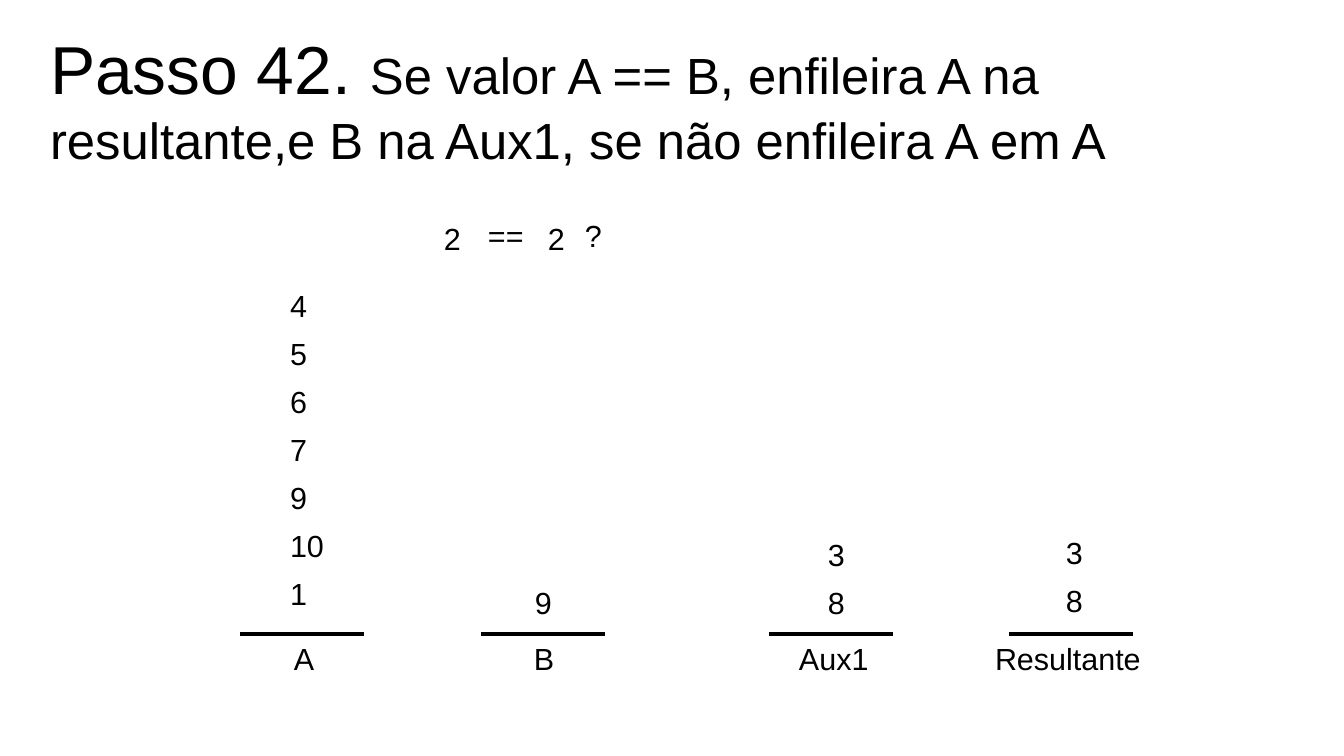
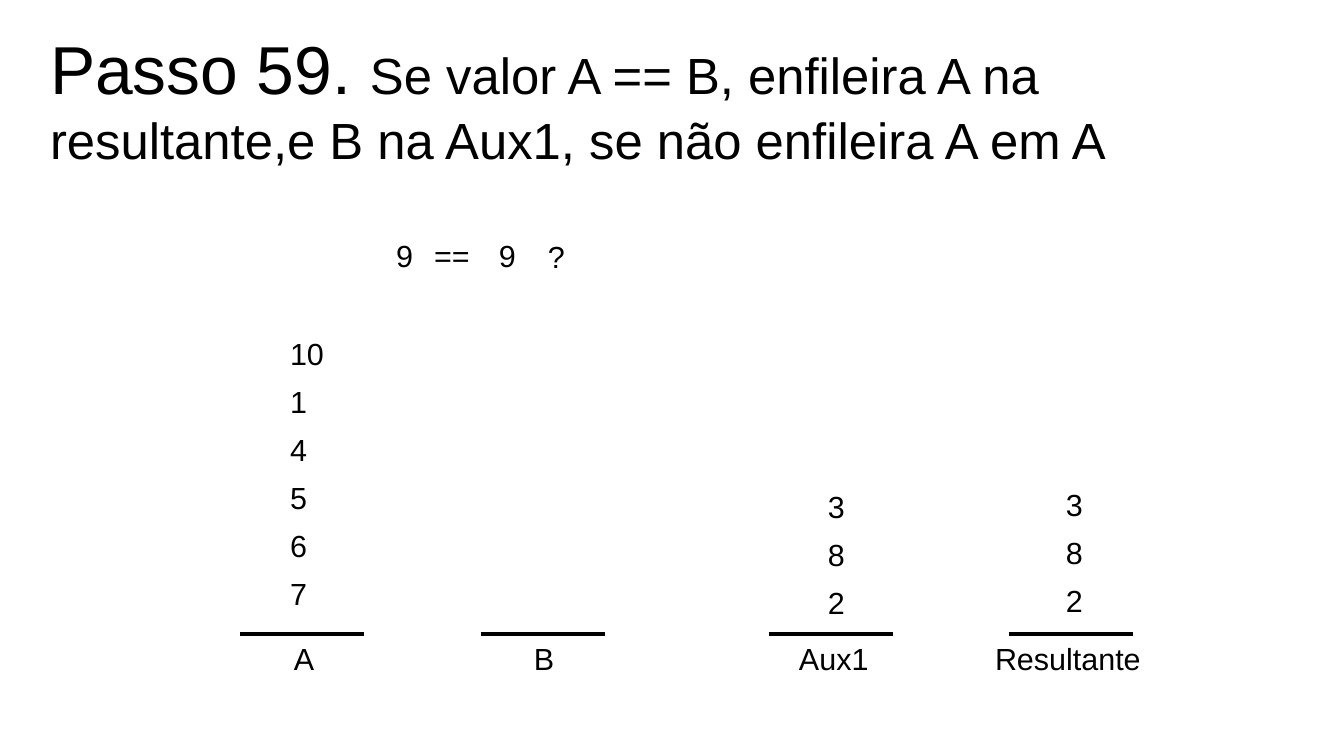
from pptx import Presentation, util as u
from pptx.dml.color import RGBColor
from pptx.enum import shapes, text
from pptx.oxml.ns import qn
from lxml import etree

BLACK = RGBColor(0, 0, 0)
FONT = "Arial"
TITLE_SIZE, RULE_SIZE, BODY_SIZE = 40, 30, 18
SCALE = 914400 / 122
SLIDE_SIZE = (1344, 756)
TITLE_BOX = (38, 21, 1268, 201)
RULE = ("Se valor A == B, enfileira A na resultante,"
        "e B na Aux1, se não enfileira A em A")
BASE_Y, BASE_WIDTH, ROW_STEP, ROW_HEIGHT = 634, 124, 48, 46

# Queue: base left, label left and width, value left and width, last value top
QUEUES = {
    "A": (240, 282, 131, 278, 67, 569),
    "B": (481, 522, 44, 523, 41, 578),
    "Aux1": (769, 787, 94, 816, 41, 578),
    "Resultante": (1009, 983, 170, 1054, 41, 576),
}

# Each comparison token: text, left, top, width
STEPS = [
    {"title": "Passo 42. ",
     "comparison": [("2", 432, 214, 67), ("==", 476, 211, 60),
                    ("2", 536, 214, 41), ("?", 573, 211, 41)],
     "values": {"A": [4, 5, 6, 7, 9, 10, 1], "B": [9],
                "Aux1": [3, 8], "Resultante": [3, 8]}},
    {"title": "Passo 59. ",
     "comparison": [("9", 384, 231, 67), ("==", 422, 231, 60),
                    ("9", 487, 231, 41), ("?", 536, 232, 41)],
     "values": {"A": [10, 1, 4, 5, 6, 7], "B": [],
                "Aux1": [3, 8, 2], "Resultante": [3, 8, 2]}},
]


def px(length):
    """Turn pixels into EMU."""
    return u.Emu(round(length * SCALE))


def add_text(slide, box, runs, wrap=False):
    """Place a text box holding one paragraph of (text, size) runs."""
    frame = slide.shapes.add_textbox(*map(px, box)).text_frame
    frame_format = {"word_wrap": wrap,
                    "auto_size": text.MSO_AUTO_SIZE.SHAPE_TO_FIT_TEXT}
    for name, value in frame_format.items():
        setattr(frame, name, value)
    for words, size in runs:
        run = frame.paragraphs[0].add_run()
        run.text = words
        for name, value in {"name": FONT, "size": u.Pt(size)}.items():
            setattr(run.font, name, value)
        run.font.color.rgb = BLACK


def add_base(slide, left, top, width):
    """Draw the hairline on which a queue stands."""
    line = slide.shapes.add_connector(
        shapes.MSO_CONNECTOR.STRAIGHT, px(left), px(top), px(left + width), px(top))
    line.line.color.rgb = BLACK
    line.line.width = u.Pt(0)
    etree.SubElement(line._element.spPr, qn("a:effectLst"))


def add_queue(slide, name, values):
    """Draw a queue: base, label below, values stacked upward."""
    base_left, label_left, label_width, left, width, last_top = QUEUES[name]
    add_base(slide, base_left, BASE_Y, BASE_WIDTH)
    add_text(slide, (label_left, BASE_Y, label_width, ROW_HEIGHT), [(name, BODY_SIZE)])
    first_top = last_top - (len(values) - 1) * ROW_STEP
    for row, value in enumerate(values):
        add_text(slide, (left, first_top + row * ROW_STEP, width, ROW_HEIGHT),
                 [(str(value), BODY_SIZE)])


def add_comparison(slide, tokens):
    """Place the tokens of the question above the queues."""
    for token, left, top, width in tokens:
        add_text(slide, (left, top, width, ROW_HEIGHT), [(token, BODY_SIZE)])


def add_step(presentation, step):
    """Build the slide of one step."""
    slide = presentation.slides.add_slide(presentation.slide_layouts[6])
    add_text(slide, TITLE_BOX, [(step["title"], TITLE_SIZE), (RULE, RULE_SIZE)], wrap=True)
    for name, values in step["values"].items():
        add_queue(slide, name, values)
    add_comparison(slide, step["comparison"])


presentation = Presentation()
presentation.slide_width, presentation.slide_height = map(px, SLIDE_SIZE)
for step in STEPS:
    add_step(presentation, step)
presentation.save("out.pptx")
